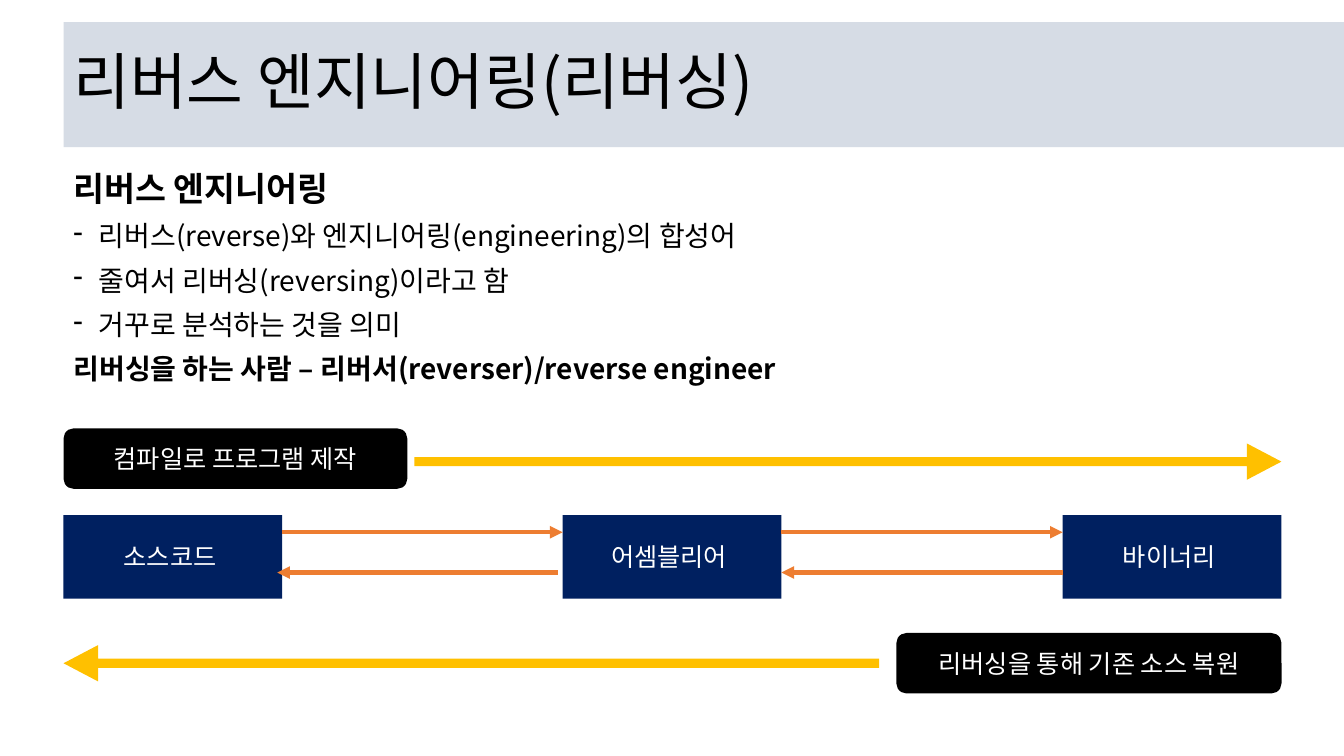
from lxml import etree
from pptx import Presentation
from pptx.dml.color import RGBColor
from pptx.enum.shapes import MSO_CONNECTOR, MSO_SHAPE
from pptx.enum.text import MSO_ANCHOR, MSO_AUTO_SIZE, PP_ALIGN
from pptx.oxml.ns import qn
from pptx.util import Pt

RECT, ROUND, ARROW = MSO_SHAPE.RECTANGLE, MSO_SHAPE.ROUNDED_RECTANGLE, MSO_SHAPE.RIGHT_ARROW
LINE = MSO_CONNECTOR.STRAIGHT
LEFT, CENTER = PP_ALIGN.LEFT, PP_ALIGN.CENTER
TOP, MIDDLE = MSO_ANCHOR.TOP, MSO_ANCHOR.MIDDLE
NO_FIT = MSO_AUTO_SIZE.NONE
BLACK = RGBColor(0, 0, 0)
WHITE = RGBColor(255, 255, 255)
PALE = RGBColor(0xD6, 0xDC, 0xE5)
NAVY = RGBColor(0, 0x20, 0x60)
ORANGE = RGBColor(0xED, 0x7D, 0x31)
GOLD = RGBColor(0xFF, 0xC0, 0)
FONT = "Noto Sans CJK KR"
PX = 9144


def write(frame, *lines, size=18, color=WHITE, bold=False, align=CENTER,
          anchor=MIDDLE, space=None, before=None, dash=False, more=False):
    frame.word_wrap = True
    frame.auto_size = NO_FIT
    frame.vertical_anchor = anchor
    for i, line in enumerate(lines):
        para = frame.add_paragraph() if more or i else frame.paragraphs[0]
        para.alignment = align
        para.line_spacing = space
        para.space_before = before
        run = para.add_run()
        run.text = line
        font = run.font
        font.name, font.size, font.bold = FONT, Pt(size), bold
        font.color.rgb = color
        etree.SubElement(font._element, qn("a:ea"), typeface=FONT)
        if dash:
            props = para._p.get_or_add_pPr()
            props.set("marL", str(25 * PX))
            props.set("indent", str(-25 * PX))
            etree.SubElement(props, qn("a:buFontTx"))
            etree.SubElement(props, qn("a:buChar"), char="-")


def draw(kind, x, y, w, h, fill):
    shape = slide.shapes.add_shape(kind, x * PX, y * PX, w * PX, h * PX)
    shape.shadow.inherit = False
    shape.fill.solid()
    shape.fill.fore_color.rgb = fill
    shape.line.fill.background()
    return shape


deck = Presentation()
deck.slide_width, deck.slide_height = 1333 * PX, 750 * PX
slide = deck.slides.add_slide(deck.slide_layouts[5])

title = slide.shapes.title
title.left, title.top, title.width, title.height = 63 * PX, 22 * PX, 1270 * PX, 124 * PX
title.fill.solid()
title.fill.fore_color.rgb = PALE
write(title.text_frame, "리버스 엔지니어링(리버싱)", size=44, color=BLACK, align=LEFT, space=0.9)

body = slide.shapes.add_textbox(63 * PX, 166 * PX, 1208 * PX, 548 * PX).text_frame
look = dict(color=BLACK, align=LEFT, anchor=TOP, space=0.9, before=Pt(10))
write(body, "리버스 엔지니어링", size=24, bold=True, **look)
write(body, "리버스(reverse)와 엔지니어링(engineering)의 합성어",
      "줄여서 리버싱(reversing)이라고 함", "거꾸로 분석하는 것을 의미",
      size=20, dash=True, more=True, **look)
write(body, "리버싱을 하는 사람 – 리버서(reverser)/reverse engineer",
      size=20, bold=True, more=True, **look)

for x, name in (63, "소스코드 "), (558, "어셈블리어 "), (1054, "바이너리 "):
    write(draw(RECT, x, 511, 217, 83, NAVY).text_frame, name)

for start, end, y in (280, 558, 528), (775, 1054, 528), (1054, 775, 568), (553, 275, 568):
    link = slide.shapes.add_connector(LINE, start * PX, y * PX, end * PX, y * PX)
    link.line.color.rgb = ORANGE
    link.line.width = Pt(3)
    etree.SubElement(link.line._get_or_add_ln(), qn("a:tailEnd"), type="triangle")
    etree.SubElement(link._element.spPr, qn("a:effectLst"))

for x, y, w, name in (63, 425, 341, "컴파일로 프로그램 제작"), (889, 628, 382, "리버싱을 통해 기존 소스 복원"):
    write(draw(ROUND, x, y, w, 60, BLACK).text_frame, name)

for x, y, w, turn in (411, 440, 860, 0), (63, 640, 809, 180):
    arrow = draw(ARROW, x, y, w, 36, GOLD)
    arrow.adjustments[0], arrow.adjustments[1] = 0.25, 0.95
    arrow.rotation = turn

deck.save("out.pptx")
